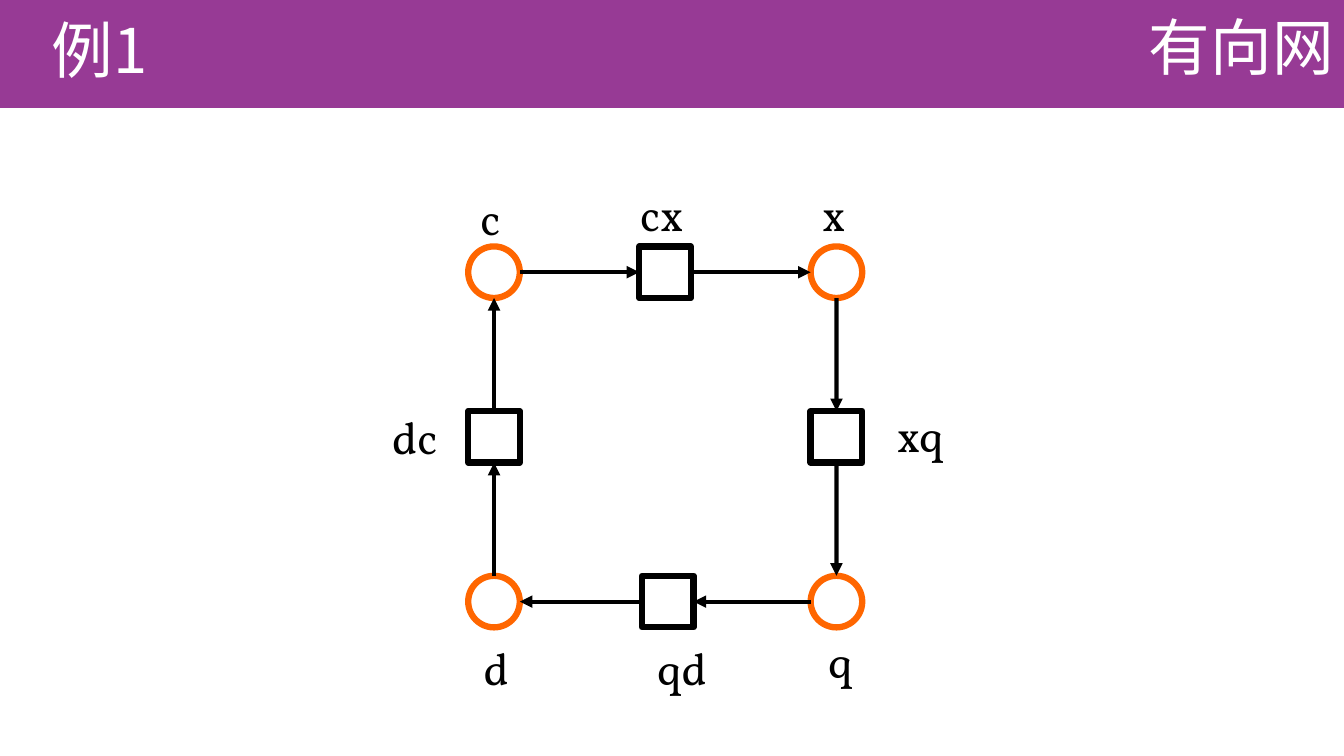
from lxml.etree import SubElement
from pptx import Presentation
from pptx.dml.color import RGBColor
from pptx.enum.shapes import MSO_CONNECTOR, MSO_SHAPE
from pptx.enum.text import MSO_ANCHOR, PP_ALIGN
from pptx.oxml.ns import qn
from pptx.util import Cm, Pt

PURPLE = RGBColor(0x97, 0x3A, 0x95)
ORANGE = RGBColor(0xFF, 0x66, 0x00)
BLACK = RGBColor(0, 0, 0)
WHITE = RGBColor(0xFF, 0xFF, 0xFF)
SIZE = 1.3
HALF = SIZE / 2
TOP, LEFT, BOTTOM, RIGHT = range(4)


def write_heading(sp, text, align):
    tf = sp.text_frame
    tf.word_wrap = True
    tf.vertical_anchor = MSO_ANCHOR.MIDDLE
    p = tf.paragraphs[0]
    p.alignment = align
    p.line_spacing = 0.9
    r = p.add_run()
    r.text = text
    r.font.size = Pt(44)
    r.font.name = "Noto Sans CJK SC"
    r.font.color.rgb = WHITE
    SubElement(r.font._element, qn("a:ea"), typeface="Noto Sans CJK SC")


def add_node(s, shape, x, y, color):
    sp = s.shapes.add_shape(shape, Cm(x - HALF), Cm(y - HALF), Cm(SIZE), Cm(SIZE))
    sp.shadow.inherit = False
    sp.fill.solid()
    sp.fill.fore_color.rgb = WHITE
    sp.line.color.rgb = color
    sp.line.width = Pt(4.5)
    return sp


prs = Presentation()
prs.slide_width, prs.slide_height = Cm(33.87), Cm(19.05)
s = prs.slides.add_slide(prs.slide_layouts[5])

bar = s.shapes.add_shape(MSO_SHAPE.RECTANGLE, 0, 0, prs.slide_width, Cm(2.72))
bar.shadow.inherit = False
bar.fill.solid()
bar.fill.fore_color.rgb = PURPLE
bar.line.fill.background()
s.shapes._spTree.insert(2, bar._element)

title = s.shapes.title
title.left, title.top, title.width, title.height = Cm(28.37), Cm(-0.08), Cm(5.5), Cm(2.72)
write_heading(title, "有向网", PP_ALIGN.RIGHT)

example = s.shapes.add_textbox(0, 0, Cm(10.31), Cm(2.72))
example.text_frame.margin_left = Cm(1.3)
write_heading(example, "例1", PP_ALIGN.LEFT)

places = [(12.45, 6.86), (21.08, 6.86), (21.08, 15.16), (12.45, 15.16)]
transitions = [(16.76, 6.86), (21.08, 11.01), (16.83, 15.16), (12.45, 11.01)]
directions = [(1, 0), (0, 1), (-1, 0), (0, -1)]
sides = [(LEFT, RIGHT), (TOP, BOTTOM), (RIGHT, LEFT), (BOTTOM, TOP)]

for x, y in places:
    add_node(s, MSO_SHAPE.OVAL, x, y, ORANGE)

for i, (x, y) in enumerate(transitions):
    box = add_node(s, MSO_SHAPE.RECTANGLE, x, y, BLACK)
    dx, dy = HALF * directions[i][0], HALF * directions[i][1]
    x1, y1 = places[i]
    x2, y2 = places[(i + 1) % 4]
    entry, leave = sides[i]
    arc_in = s.shapes.add_connector(
        MSO_CONNECTOR.STRAIGHT, Cm(x1 + dx), Cm(y1 + dy), Cm(x - dx), Cm(y - dy))
    arc_in.end_connect(box, entry)
    arc_out = s.shapes.add_connector(
        MSO_CONNECTOR.STRAIGHT, Cm(x + dx), Cm(y + dy), Cm(x2 - dx), Cm(y2 - dy))
    arc_out.begin_connect(box, leave)
    for arc in (arc_in, arc_out):
        arc.line.color.rgb = BLACK
        arc.line.width = Pt(3)
        SubElement(arc.line._get_or_add_ln(), qn("a:tailEnd"), type="triangle")
        SubElement(arc._element.spPr, qn("a:effectLst"))

labels = [
    ("c", 11.86, 4.67, 1.22),
    ("cx", 15.88, 4.57, 1.68),
    ("x", 20.47, 4.57, 1.1),
    ("xq", 22.35, 10.16, 1.88),
    ("q", 20.62, 15.85, 1.2),
    ("qd", 16.31, 16.03, 2.06),
    ("d", 11.94, 16.03, 1.75),
    ("dc", 9.63, 10.21, 1.75),
]
for text, x, y, width in labels:
    tf = s.shapes.add_textbox(Cm(x), Cm(y), Cm(width), Cm(1.63)).text_frame
    tf.word_wrap = True
    p = tf.paragraphs[0]
    p.text = text
    p.font.size = Pt(32)
    p.font.name = "Vollkorn"
    p.font.color.rgb = BLACK

prs.save("out.pptx")
